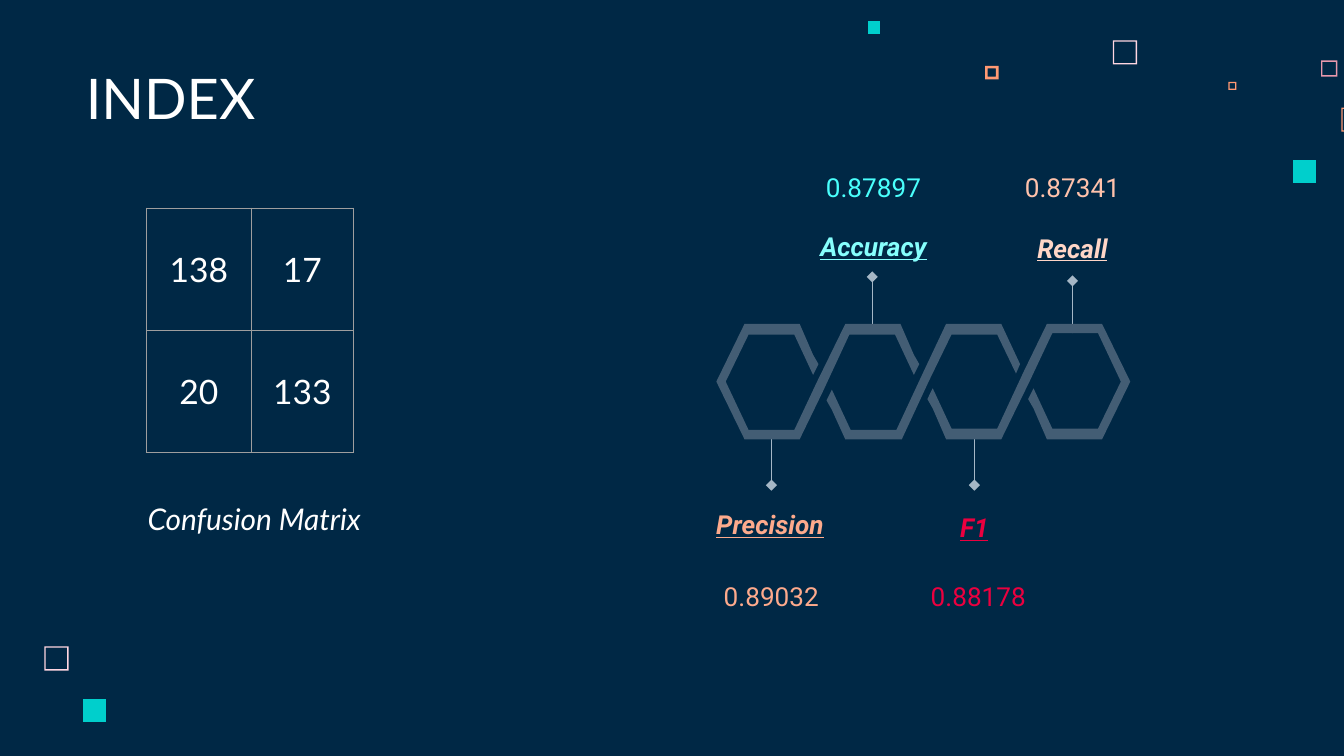
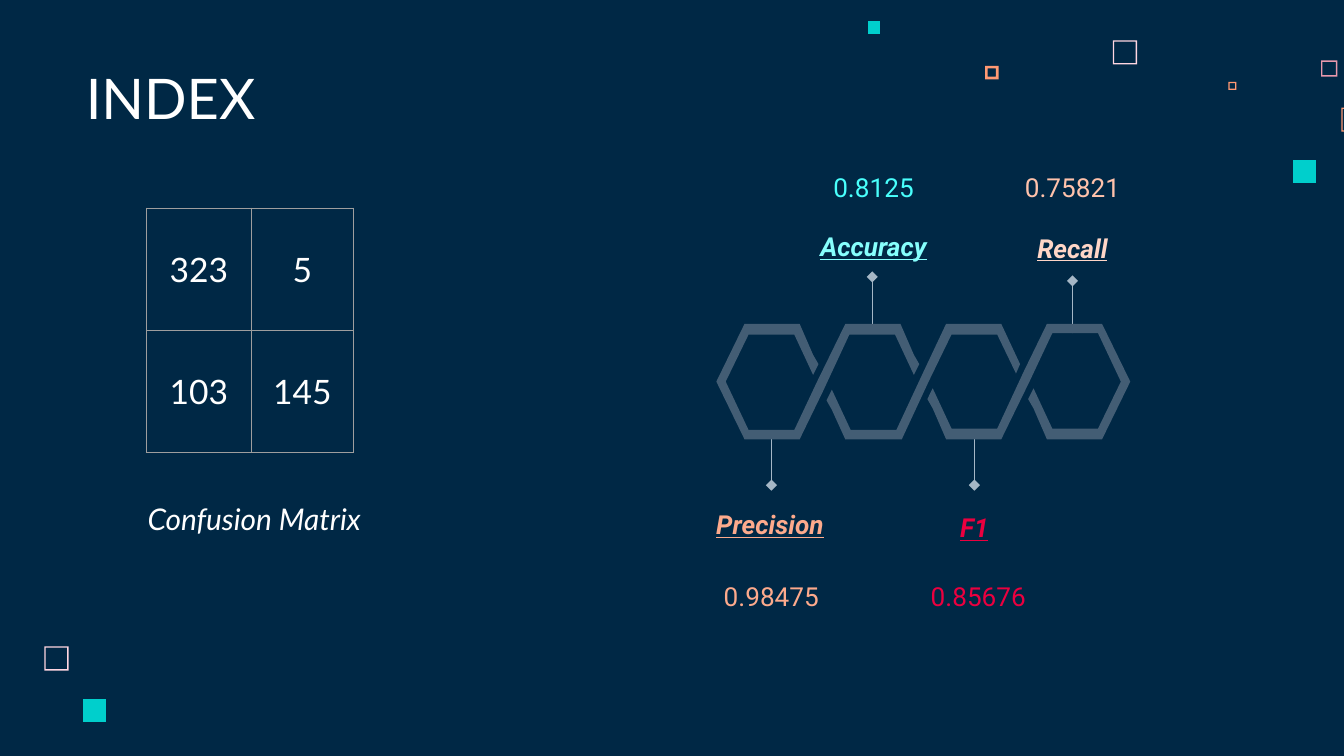
from typing import NamedTuple

from lxml import etree
from pptx import Presentation
from pptx import util as u
from pptx.dml.color import RGBColor
from pptx.enum import shapes, text
from pptx.oxml import ns

Point = tuple[float, float]

NAVY = RGBColor(0x00, 0x28, 0x45)
WHITE = RGBColor(0xFF, 0xFF, 0xFF)
TEAL = RGBColor(0x00, 0xCF, 0xCC)
PINK = RGBColor(0xFF, 0xD6, 0xE1)
ROSE = RGBColor(0xE8, 0x98, 0xAC)
ORANGE = RGBColor(0xFF, 0x99, 0x73)
SLATE = RGBColor(0x43, 0x5D, 0x74)
STEEL = RGBColor(0xA5, 0xB7, 0xC6)
GRID = RGBColor(0x9E, 0x9E, 0x9E)
PEACH = RGBColor(0xFD, 0xAA, 0x8C)
CREAM = RGBColor(0xFF, 0xD6, 0xC7)
APRICOT = RGBColor(0xFF, 0xC2, 0xAB)
AQUA = RGBColor(0x86, 0xFF, 0xFD)
CYAN = RGBColor(0x49, 0xFF, 0xFC)
CRIMSON = RGBColor(0xEB, 0x00, 0x3F)

SLIDE_WIDTH = u.Inches(10)
SLIDE_HEIGHT = SLIDE_WIDTH * 9 // 16
HEADING_FONT = "Lato"
METRIC_FONT = "Roboto"
METRIC_W, METRIC_H = 2.06, 0.71


class Square(NamedTuple):
    x: float
    y: float
    size: float
    color: RGBColor
    border: float = 0  # 0 means solid


class Metric(NamedTuple):
    name: str
    name_at: Point
    name_color: RGBColor
    value_at: Point
    value_color: RGBColor
    stem_x: float
    stem_from: float
    stem_to: float


class Page(NamedTuple):
    matrix: list[list[str]]
    values: dict[str, str]


SQUARES = [
    Square(8.28, 0.3, 0.18, PINK, 0.01),
    Square(9.83, 0.45, 0.12, ROSE, 0.01),
    Square(9.14, 0.61, 0.06, ORANGE, 0.01),
    Square(9.98, 0.8, 0.18, ORANGE, 0.01),
    Square(9.62, 1.19, 0.17, TEAL),
    Square(7.33, 0.49, 0.1, ORANGE, 0.02),
    Square(6.46, 0.16, 0.09, TEAL),
    Square(0.33, 4.81, 0.18, PINK, 0.01),
    Square(0.62, 5.2, 0.17, TEAL),
]

# In drawing order of the names
METRICS = [
    Metric("Precision", (4.7, 3.41), PEACH, (4.71, 3.94), PEACH, 5.74, 3.22, 3.61),
    Metric("F1", (6.22, 3.43), CRIMSON, (6.25, 3.94), CRIMSON, 7.25, 3.22, 3.61),
    Metric("Recall", (6.95, 1.35), CREAM, (6.95, 0.9), APRICOT, 7.98, 2.48, 2.09),
    Metric("Accuracy", (5.47, 1.34), AQUA, (5.47, 0.9), CYAN, 6.49, 2.45, 2.06),
]

# Linked hexagons: the right end is the left end turned half a circle
LEFT_LINK = [
    (5.54, 2.41), (5.33, 2.84), (5.54, 3.27), (5.95, 3.27), (6.12, 2.92), (6.32, 2.49),
    (6.66, 2.49), (6.8, 2.79), (6.84, 2.71), (6.8, 2.64), (6.7, 2.41), (6.29, 2.41),
    (6.08, 2.84), (5.91, 3.2), (5.57, 3.2), (5.4, 2.84), (5.57, 2.49), (5.91, 2.49),
    (6.05, 2.79), (6.09, 2.71), (6.05, 2.64), (5.95, 2.41),
]
MIDDLE_LINK = [
    (7.04, 2.41), (6.87, 2.77), (6.67, 3.2), (6.33, 3.2), (6.19, 2.9), (6.15, 2.98),
    (6.19, 3.05), (6.29, 3.27), (6.71, 3.27), (6.91, 2.84), (7.08, 2.49), (7.42, 2.49),
    (7.56, 2.78), (7.59, 2.71), (7.45, 2.41),
]
CHAIN_CENTER = (6.87, 2.84)
RIGHT_LINK = [(2 * CHAIN_CENTER[0] - x, 2 * CHAIN_CENTER[1] - y) for x, y in LEFT_LINK]

PAGES = [
    Page([["138", "17"], ["20", "133"]],
         {"Precision": "0.89032", "Accuracy": "0.87897", "F1": "0.88178", "Recall": "0.87341"}),
    Page([["323", "5"], ["103", "145"]],
         {"Precision": "0.98475", "Accuracy": "0.8125", "F1": "0.85676", "Recall": "0.75821"}),
]


def add_outline(parent, contours: list[list[Point]], color: RGBColor) -> None:
    """Draw one filled freeform from closed contours."""
    scaled = [[(u.Inches(x), u.Inches(y)) for x, y in c] for c in contours]
    builder = parent.build_freeform(*scaled[0][0])
    builder.add_line_segments(scaled[0][1:], close=True)
    for contour in scaled[1:]:
        builder.move_to(*contour[0])
        builder.add_line_segments(contour[1:], close=True)
    sp = builder.convert_to_shape()
    sp.shadow.inherit = False
    sp.fill.solid()
    sp.fill.fore_color.rgb = color
    sp.line.fill.background()


def add_square(s, square: Square) -> None:
    x, y, size, b = square.x, square.y, square.size, square.border
    far_x, far_y = x + size, y + size
    contours = [[(x, y), (x, far_y), (far_x, far_y), (far_x, y)]]
    if b:
        contours.append([(x + b, y + b), (far_x - b, y + b),
                         (far_x - b, far_y - b), (x + b, far_y - b)])
    add_outline(s.shapes, contours, square.color)


def add_run(p, content: str, font: str, size: float, color: RGBColor,
            bold: bool = False, italic: bool = False, underline: bool = False) -> None:
    r = p.add_run()
    r.text = content
    r.font.name = font
    r.font.size = u.Pt(size)
    r.font.color.rgb = color
    r.font.bold, r.font.italic, r.font.underline = bold, italic, underline


def add_text(s, at: Point, width: float, height: float, content: str, font: str, size: float,
             color: RGBColor, align=text.PP_ALIGN.LEFT, **style: bool) -> None:
    box = s.shapes.add_textbox(*(u.Inches(v) for v in (*at, width, height)))
    tf = box.text_frame
    tf.word_wrap = True
    tf.vertical_anchor = text.MSO_ANCHOR.BOTTOM
    tf.margin_left = tf.margin_right = tf.margin_top = tf.margin_bottom = u.Inches(0.1)
    p = tf.paragraphs[0]
    p.alignment = align
    add_run(p, content, font, size, color, **style)


def add_stem(parent, metric: Metric) -> None:
    x = u.Inches(metric.stem_x)
    line = parent.add_connector(shapes.MSO_CONNECTOR.STRAIGHT, x, u.Inches(metric.stem_from),
                                x, u.Inches(metric.stem_to))
    line.line.color.rgb = STEEL
    line.line.width = u.Pt(0.75)
    ln = line._element.spPr.find(ns.qn("a:ln"))
    etree.SubElement(ln, ns.qn("a:tailEnd"), type="diamond")
    etree.SubElement(line._element.spPr, ns.qn("a:effectLst"))


def add_chain(s) -> None:
    group = s.shapes.add_group_shape()
    for metric in METRICS:
        add_stem(group.shapes, metric)
    for link in (LEFT_LINK, RIGHT_LINK, MIDDLE_LINK):
        add_outline(group.shapes, [link], SLATE)


def add_metric(s, metric: Metric, value: str) -> None:
    center = text.PP_ALIGN.CENTER
    add_text(s, metric.name_at, METRIC_W, METRIC_H, metric.name, METRIC_FONT, 14,
             metric.name_color, center, bold=True, italic=True, underline=True)
    add_text(s, metric.value_at, METRIC_W, METRIC_H, value, METRIC_FONT, 14,
             metric.value_color, center)


def set_borders(cell, color: RGBColor, width: float) -> None:
    tc_pr = cell._tc.get_or_add_tcPr()
    for side in ("lnL", "lnR", "lnT", "lnB"):
        ln = etree.SubElement(tc_pr, ns.qn(f"a:{side}"), w=str(u.Pt(width)))
        fill = etree.SubElement(ln, ns.qn("a:solidFill"))
        etree.SubElement(fill, ns.qn("a:srgbClr"), val=str(color))


def add_matrix(s, rows: list[list[str]]) -> None:
    frame = s.shapes.add_table(2, 2, u.Inches(1.09), u.Inches(1.55),
                               u.Inches(1.54), u.Inches(1.82))
    table = frame.table
    table.first_row = table.horz_banding = False
    for column, width in zip(table.columns, (0.78, 0.76)):
        column.width = u.Inches(width)
    for i, row in enumerate(rows):
        table.rows[i].height = u.Inches(0.91)
        for j, count in enumerate(row):
            cell = table.cell(i, j)
            set_borders(cell, GRID, 0.75)
            cell.fill.background()
            cell.vertical_anchor = text.MSO_ANCHOR.MIDDLE
            p = cell.text_frame.paragraphs[0]
            p.alignment = text.PP_ALIGN.CENTER
            add_run(p, count, HEADING_FONT, 18, WHITE)


def add_page(prs, page: Page) -> None:
    s = prs.slides.add_slide(prs.slide_layouts[6])
    # Background, scattered squares and title
    s.background.fill.solid()
    s.background.fill.fore_color.rgb = NAVY
    for square in SQUARES:
        add_square(s, square)
    add_text(s, (0.54, 0.44), 5.17, 0.63, "INDEX", HEADING_FONT, 30, WHITE)
    # Metrics around the chain
    add_chain(s)
    for metric in METRICS:
        add_metric(s, metric, page.values[metric.name])
    # Confusion matrix and caption
    add_matrix(s, page.matrix)
    add_text(s, (1, 3.3), 3.04, 0.79, "Confusion Matrix", HEADING_FONT, 16, WHITE, italic=True)


def main() -> None:
    prs = Presentation()
    prs.slide_width, prs.slide_height = SLIDE_WIDTH, SLIDE_HEIGHT
    for page in PAGES:
        add_page(prs, page)
    prs.save("out.pptx")


if __name__ == "__main__":
    main()
